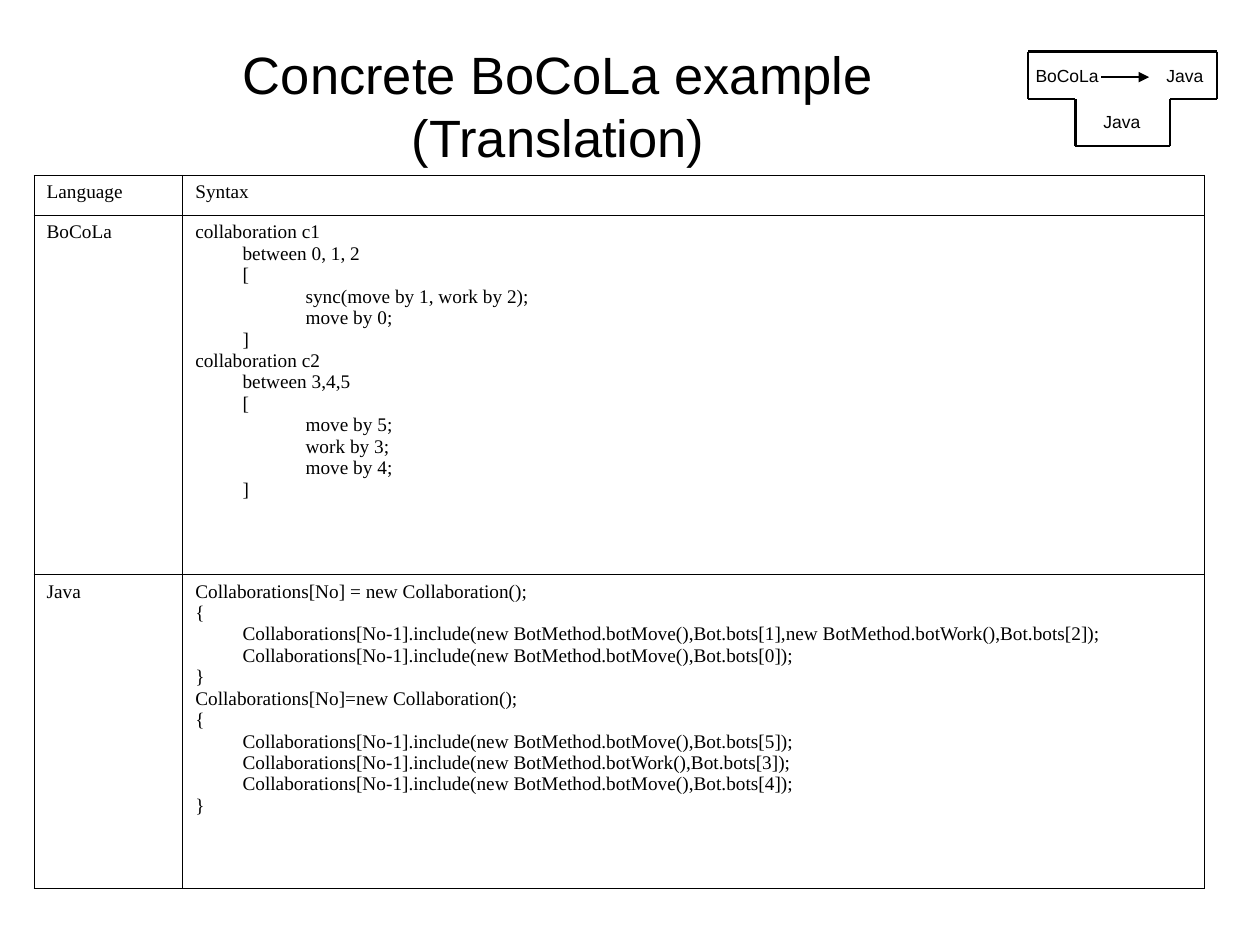
from dataclasses import dataclass

from lxml.etree import SubElement
from pptx import Presentation
from pptx.dml.color import RGBColor
from pptx.enum.shapes import MSO_CONNECTOR
from pptx.enum.text import MSO_ANCHOR, MSO_AUTO_SIZE, PP_ALIGN
from pptx.oxml.ns import qn
from pptx.shapes.shapetree import GroupShapes
from pptx.slide import Slide
from pptx.table import _Cell
from pptx.text.text import TextFrame, _Paragraph
from pptx.util import Inches, Pt

BLACK = RGBColor(0, 0, 0)
WHITE = RGBColor(255, 255, 255)
UNIT = 0.375
DIAGRAM_LEFT, DIAGRAM_TOP = 8.16, 0.41
COLUMN_WIDTHS = (1.18, 8.11)
ROW_HEIGHTS = (0.32, 2.85, 2.49)
HANGING_INDENT = 0.375

BOCOLA_CODE = """collaboration c1
\tbetween 0, 1, 2
\t[
\t\tsync(move by 1, work by 2);
\t\tmove by 0;
\t]
collaboration c2
\tbetween 3,4,5
\t[
\t\tmove by 5;
\t\twork by 3;
\t\tmove by 4;
\t]"""
JAVA_CODE = """Collaborations[No] = new Collaboration();
{
\tCollaborations[No-1].include(new BotMethod.botMove(),Bot.bots[1],new BotMethod.botWork(),Bot.bots[2]);
\tCollaborations[No-1].include(new BotMethod.botMove(),Bot.bots[0]);
}
Collaborations[No]=new Collaboration();
{
\tCollaborations[No-1].include(new BotMethod.botMove(),Bot.bots[5]);
\tCollaborations[No-1].include(new BotMethod.botWork(),Bot.bots[3]);
\tCollaborations[No-1].include(new BotMethod.botMove(),Bot.bots[4]);
}"""
ROWS = (("Language", "Syntax"), ("BoCoLa", BOCOLA_CODE), ("Java", JAVA_CODE))


@dataclass(frozen=True)
class Edge:
    start: tuple[float, float]
    end: tuple[float, float]
    width: float = 1.5
    arrow: bool = False


@dataclass(frozen=True)
class Label:
    text: str
    left: float
    top: float
    width: float


OUTLINE = ((0, 0), (4, 0), (4, 1), (3, 1), (3, 2), (1, 2), (1, 1), (0, 1), (0, 0))
EDGES = [Edge(start, end) for start, end in zip(OUTLINE, OUTLINE[1:])]
EDGES.append(Edge((1.55, 0.54), (2.56, 0.54), 0.75, True))
LABELS = (
    Label("Java", 8.66, 0.83, 0.5),
    Label("Java", 9.16, 0.47, 0.5),
    Label("BoCoLa", 8.12, 0.47, 0.75),
)


def style_text(frame: TextFrame, name: str, size: float) -> None:
    for paragraph in frame.paragraphs:
        for run in paragraph.runs:
            for attribute, value in {"name": name, "size": Pt(size)}.items():
                setattr(run.font, attribute, value)
            run.font.color.rgb = BLACK


def indent_code(paragraph: _Paragraph) -> None:
    properties = paragraph._p.get_or_add_pPr()
    properties.set("marL", str(Inches(HANGING_INDENT)))
    properties.set("indent", str(-Inches(HANGING_INDENT)))
    tabs = SubElement(properties, qn("a:tabLst"))
    for position in range(8):
        SubElement(tabs, qn("a:tab"), pos=str(Inches(position)), algn="l")


def add_borders(cell: _Cell) -> None:
    properties = cell._tc.get_or_add_tcPr()
    for side in ("L", "R", "T", "B"):
        border = SubElement(properties, qn(f"a:ln{side}"), w=str(Pt(0.45)))
        fill = SubElement(border, qn("a:solidFill"))
        SubElement(fill, qn("a:srgbClr"), val=str(BLACK))


def add_title(slide: Slide) -> None:
    title = slide.shapes.title
    placement = {"left": 0.83, "top": 0.21, "width": 7.2, "height": 1.25}
    for attribute, value in placement.items():
        setattr(title, attribute, Inches(value))
    frame = title.text_frame
    frame.text = "Concrete BoCoLa example\v(Translation)"
    settings = {
        "auto_size": MSO_AUTO_SIZE.NONE,
        "vertical_anchor": MSO_ANCHOR.MIDDLE,
        "word_wrap": True,
    }
    for attribute, value in settings.items():
        setattr(frame, attribute, value)
    frame.paragraphs[0].alignment = PP_ALIGN.CENTER
    style_text(frame, "Arial", 30)


def add_syntax_table(slide: Slide) -> None:
    table = slide.shapes.add_table(
        len(ROWS), len(COLUMN_WIDTHS), Inches(0.27), Inches(1.39),
        Inches(sum(COLUMN_WIDTHS)), Inches(sum(ROW_HEIGHTS)),
    ).table
    table.first_row = table.horz_banding = False
    for column, width in zip(table.columns, COLUMN_WIDTHS):
        column.width = Inches(width)
    for row, height, texts in zip(table.rows, ROW_HEIGHTS, ROWS):
        row.height = Inches(height)
        for cell, text in zip(row.cells, texts):
            cell.text_frame.text = text
            style_text(cell.text_frame, "Times New Roman", 11)
            for paragraph in cell.text_frame.paragraphs:
                indent_code(paragraph)
            add_borders(cell)
            cell.fill.solid()
            cell.fill.fore_color.rgb = WHITE


def add_edge(shapes: GroupShapes, edge: Edge) -> None:
    points = [
        Inches(origin + UNIT * step)
        for point in (edge.start, edge.end)
        for origin, step in zip((DIAGRAM_LEFT, DIAGRAM_TOP), point)
    ]
    connector = shapes.add_connector(MSO_CONNECTOR.STRAIGHT, *points)
    connector.line.color.rgb = BLACK
    connector.line.width = Pt(edge.width)
    if edge.arrow:
        SubElement(connector.line._get_or_add_ln(), qn("a:tailEnd"), type="triangle")
    SubElement(connector._element.spPr, qn("a:effectLst"))


def add_label(shapes: GroupShapes, label: Label) -> None:
    box = shapes.add_textbox(
        Inches(label.left), Inches(label.top), Inches(label.width), Inches(0.25)
    )
    box.text_frame.text = label.text
    box.text_frame.word_wrap = False
    box.text_frame.paragraphs[0].alignment = PP_ALIGN.LEFT
    style_text(box.text_frame, "Arial", 10)


def main() -> None:
    presentation = Presentation()
    presentation.slide_width, presentation.slide_height = Inches(10), Inches(7.5)
    slide = presentation.slides.add_slide(presentation.slide_layouts[5])
    add_title(slide)
    add_syntax_table(slide)
    diagram = slide.shapes.add_group_shape()
    for edge in EDGES:
        add_edge(diagram.shapes, edge)
    for label in LABELS:
        add_label(diagram.shapes, label)
    presentation.save("out.pptx")


if __name__ == "__main__":
    main()
